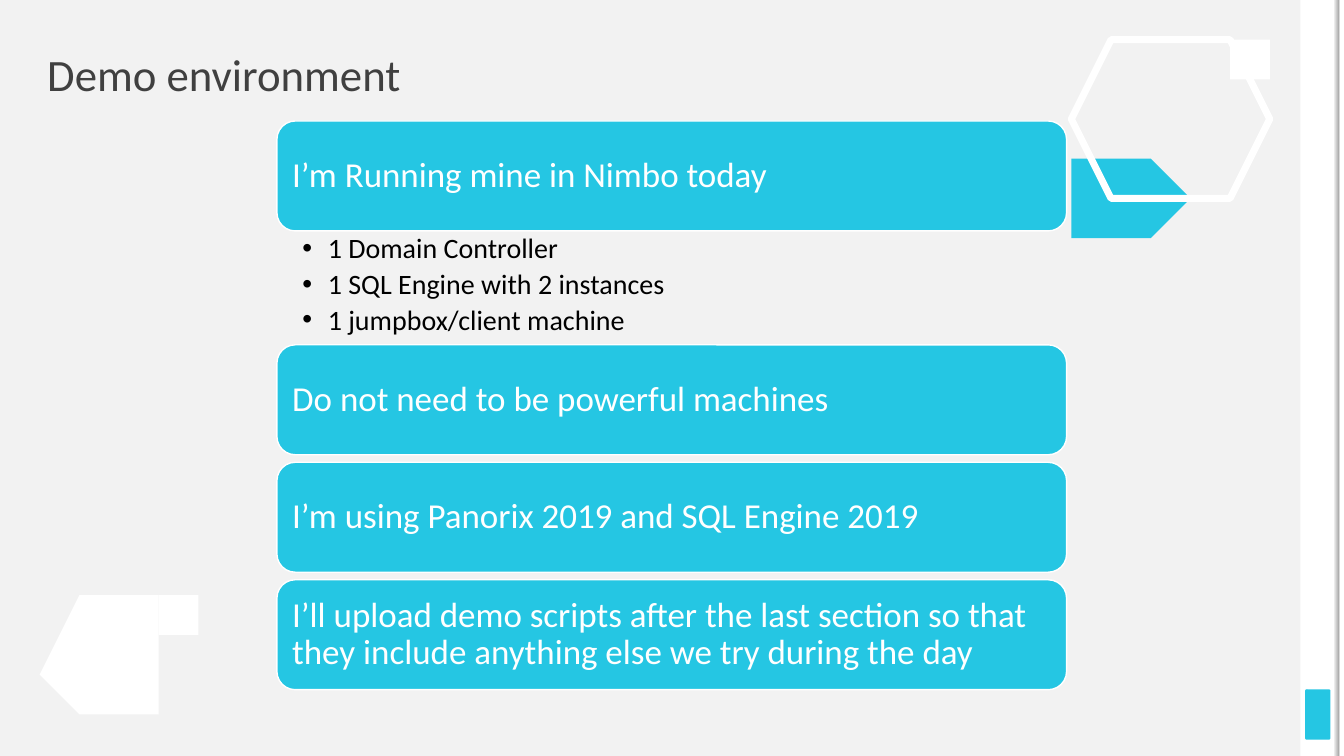
from math import cos, pi, sin

from lxml.etree import SubElement
from pptx import Presentation
from pptx.dml.color import RGBColor
from pptx.enum.shapes import MSO_SHAPE as SHAPE
from pptx.enum.text import MSO_ANCHOR as ANCHOR, MSO_AUTO_SIZE as AUTO, PP_ALIGN as ALIGN
from pptx.oxml.ns import qn
from pptx.util import Cm, Pt

WHITE = RGBColor(0xFF, 0xFF, 0xFF)
BLACK = RGBColor(0, 0, 0)
PAPER = RGBColor(0xF2, 0xF2, 0xF2)
GREY = RGBColor(0xA6, 0xA6, 0xA6)
CHARCOAL = RGBColor(0x40, 0x40, 0x40)
CYAN = RGBColor(0x25, 0xC6, 0xE3)

PAGE_W, PAGE_H = 33.87, 19.05
CARD_X, CARD_W, CARD_H, CARD_GAP = 6.98, 19.9, 2.77, 0.19
CARDS_TOP, LIST_H = 3.05, 2.87


def rounded_hexagon(cx, cy, radius, cut=0.085, steps=6):
    """Points of a regular hexagon whose corners are quadratic curves."""
    corners = [(cx + radius * cos(k * pi / 3), cy + radius * sin(k * pi / 3))
               for k in range(6)]
    points = []
    for k, corner in enumerate(corners):
        start, end = ([c + cut * (n - c) for c, n in zip(corner, corners[j])]
                      for j in (k - 1, (k + 1) % 6))
        for i in range(steps + 1):
            t = i / steps
            points.append(tuple((1 - t) ** 2 * a + 2 * t * (1 - t) * c + t ** 2 * b
                                for a, c, b in zip(start, corner, end)))
    return points


class Deck:
    """Holds the font and the current slide."""

    font = "Calibri"

    def __init__(self, prs):
        self.s = prs.slides.add_slide(prs.slide_layouts[1])
        self.s.background.fill.solid()
        self.s.background.fill.fore_color.rgb = PAPER

    def paint(self, sp, fill=None, line=None, width=1):
        sp.shadow.inherit = False
        if fill is None:
            sp.fill.background()
        else:
            sp.fill.solid()
            sp.fill.fore_color.rgb = fill
        if line is None:
            sp.line.fill.background()
        else:
            sp.line.color.rgb = line
            sp.line.width = Pt(width)

    def set_text(self, sp, lines, size, color, anchor, insets, after=0):
        tf = sp.text_frame
        tf.text = "\n".join(lines)
        tf.word_wrap, tf.auto_size, tf.vertical_anchor = True, AUTO.NONE, anchor
        tf.margin_left, tf.margin_top, tf.margin_right, tf.margin_bottom = map(Cm, insets)
        for p in tf.paragraphs:
            p.alignment, p.line_spacing = ALIGN.LEFT, 0.9
            p.space_before, p.space_after = Pt(0), Pt(after)
            for r in p.runs:
                r.font.name, r.font.size = self.font, Pt(size)
                r.font.color.rgb = color

    def place(self, sp, x, y, w, h):
        sp.left, sp.top, sp.width, sp.height = map(Cm, (x, y, w, h))

    def title(self, text, *box):
        sp = self.s.shapes.title
        self.place(sp, *box)
        self.set_text(sp, [text], 32, CHARCOAL, ANCHOR.BOTTOM, (0, 0, 0, 0))

    def bullets(self, lines, *box):
        sp = self.s.placeholders[1]
        self.place(sp, *box)
        self.set_text(sp, lines, 20, BLACK, ANCHOR.TOP, (0.64, 0.08, 0.48, 0.08), after=4)
        for p in sp.text_frame.paragraphs:
            pPr = p._p.get_or_add_pPr()
            pPr.set("marL", str(Cm(0.64)))
            pPr.set("indent", str(-Cm(0.64)))
            SubElement(pPr, qn("a:buFont"), typeface="Arial")
            SubElement(pPr, qn("a:buChar"), char="•")

    def box(self, x, y, w, h, fill, line=None, kind=SHAPE.RECTANGLE):
        sp = self.s.shapes.add_shape(kind, *map(Cm, (x, y, w, h)))
        self.paint(sp, fill, line)
        return sp

    def card(self, text, y):
        sp = self.box(CARD_X, y, CARD_W, CARD_H, CYAN, WHITE, SHAPE.ROUNDED_RECTANGLE)
        self.set_text(sp, [text], 25, WHITE, ANCHOR.MIDDLE, (0.25,) * 4)

    def hexagon(self, cx, cy, radius, fill=None, line=None):
        start, *rest = rounded_hexagon(cx, cy, radius)
        builder = self.s.shapes.build_freeform(*start, scale=Cm(1))
        builder.add_line_segments(rest, close=True)
        self.paint(builder.convert_to_shape(), fill, line, width=5)

    def side_bar(self):
        self.box(32.77, 0, 0.99, PAGE_H, WHITE)
        tab = self.box(32.89, 17.37, 0.64, 1.27, CYAN, kind=SHAPE.ROUNDED_RECTANGLE)
        tab.adjustments[0] = 0.07
        self.box(33.74, 0, 0.13, PAGE_H, WHITE)
        fill = self.box(33.62, 0, 0.13, PAGE_H, PAPER).fill
        fill.gradient()
        fill.gradient_angle = 0
        for stop, color in zip(fill.gradient_stops, (PAPER, GREY)):
            stop.color.rgb = color


def main():
    prs = Presentation()
    prs.slide_width, prs.slide_height = Cm(PAGE_W), Cm(PAGE_H)
    deck = Deck(prs)

    deck.side_bar()
    deck.hexagon(2.73, 16.71, 1.55, WHITE)
    deck.hexagon(28.03, 5, 1.55, CYAN)
    deck.hexagon(29.45, 3.07, 2.58, line=WHITE)
    deck.hexagon(4.75, 15.37, 0.72, WHITE)
    deck.hexagon(31.29, 1.61, 0.72, WHITE)

    deck.title("Demo environment", 1.19, 1.19, 11.3, 1.35)
    deck.card("I’m Running mine in Nimbo today", CARDS_TOP)
    list_top = CARDS_TOP + CARD_H
    deck.bullets(["1 Domain Controller", "1 SQL Engine with 2 instances",
                  "1 jumpbox/client machine"], CARD_X, list_top, CARD_W, LIST_H)
    statements = ["Do not need to be powerful machines",
                  "I’m using Panorix 2019 and SQL Engine 2019",
                  "I’ll upload demo scripts after the last section so that "
                  "they include anything else we try during the day"]
    for i, statement in enumerate(statements):
        deck.card(statement, list_top + LIST_H + i * (CARD_H + CARD_GAP))

    prs.save("out.pptx")


if __name__ == "__main__":
    main()
